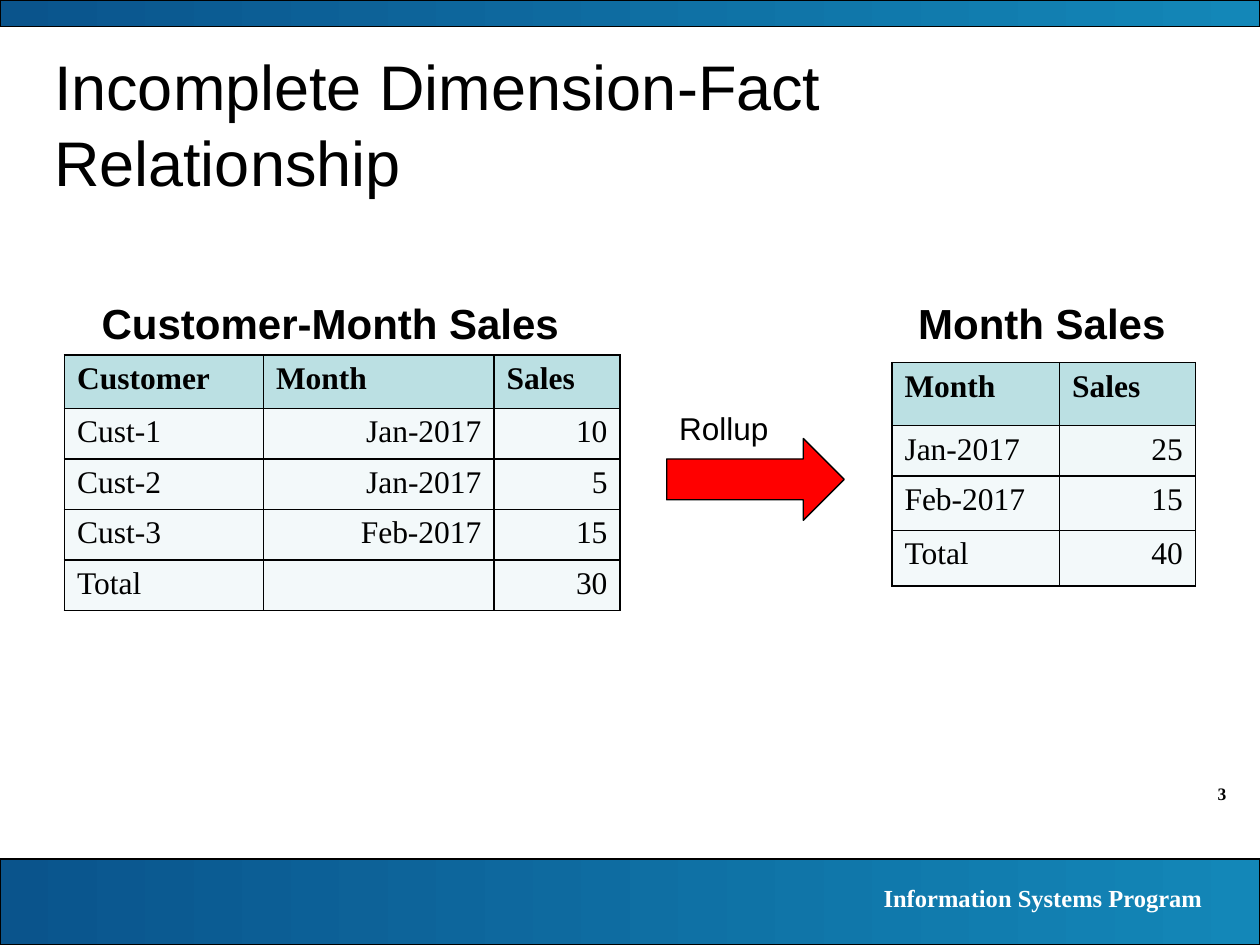
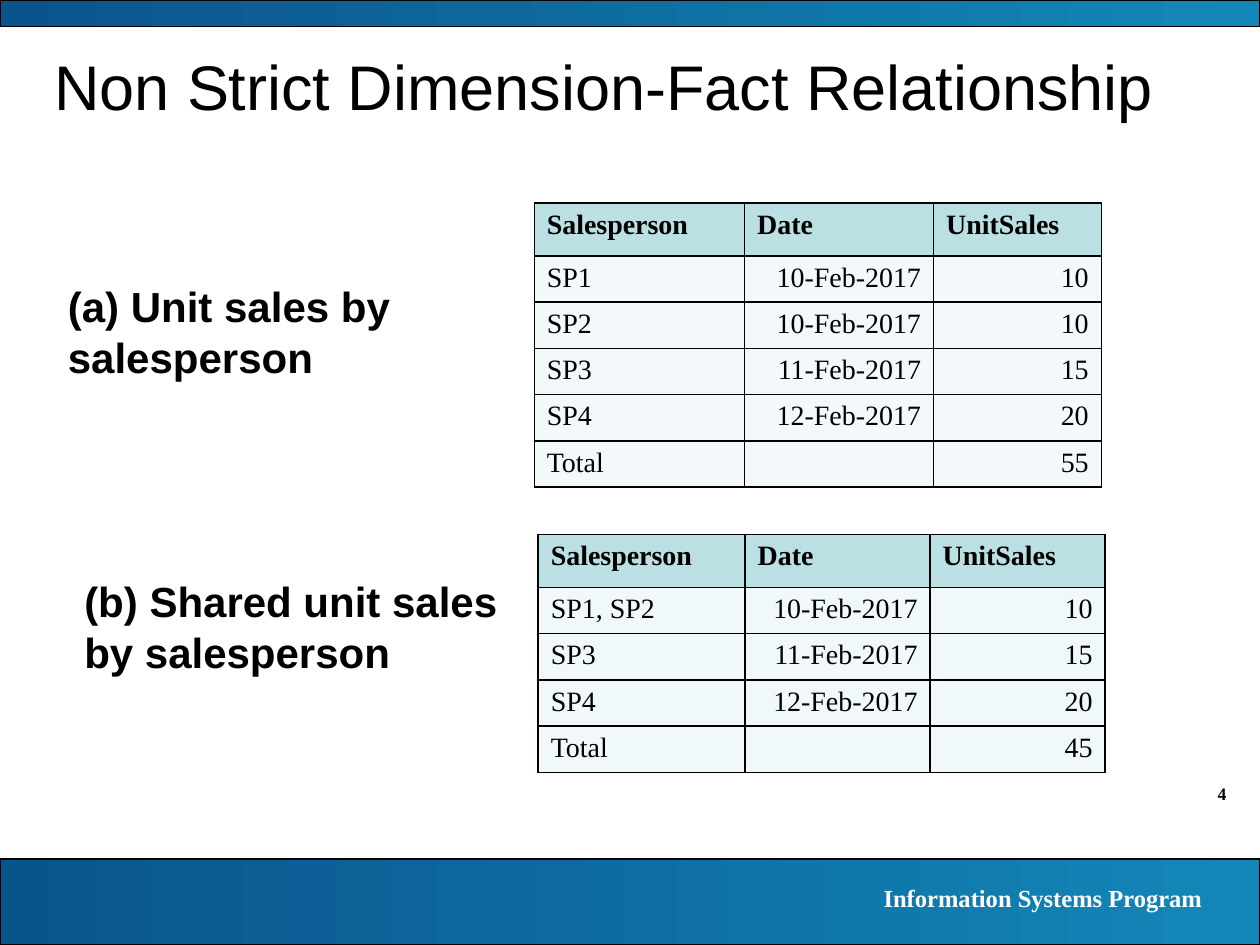
from dataclasses import dataclass

from lxml import etree
from pptx import Presentation
from pptx.dml.color import RGBColor
from pptx.enum import shapes, text
from pptx.oxml import ns
from pptx.slide import Slide
from pptx.text.text import TextFrame
from pptx.util import Cm, Pt

BLACK = RGBColor(0x00, 0x00, 0x00)
WHITE = RGBColor(0xFF, 0xFF, 0xFF)
RED = RGBColor(0xFF, 0x00, 0x00)
DEEP_BLUE = RGBColor(0x0A, 0x54, 0x8C)
BRIGHT_BLUE = RGBColor(0x13, 0x87, 0xB8)
HEADER_TEAL = RGBColor(0xBB, 0xE0, 0xE3)
PALE_TEAL = RGBColor(0xF3, 0xF9, 0xFA)
SOFT_TEAL = RGBColor(0xF1, 0xF8, 0xF9)

SANS = "Arial"
SERIF = "Times New Roman"
LEFT, RIGHT = text.PP_ALIGN.LEFT, text.PP_ALIGN.RIGHT
SLIDE_WIDTH, SLIDE_HEIGHT = 25.4, 19.05
FOOTER_TOP = 17.32


@dataclass(frozen=True)
class Box:
    """A place on the slide, in centimetres."""
    left: float
    top: float
    width: float
    height: float

    def lengths(self) -> tuple[Cm, Cm, Cm, Cm]:
        return Cm(self.left), Cm(self.top), Cm(self.width), Cm(self.height)


@dataclass(frozen=True)
class Label:
    wording: str
    box: Box
    size: int = 24
    bold: bool = True


@dataclass(frozen=True)
class SalesTable:
    """The first row is the header; columns after the first are right-aligned below it."""
    left: float
    top: float
    columns: tuple[float, ...]
    row_heights: tuple[float, ...]
    size: int
    rows: tuple[tuple[str, ...], ...]
    row_fills: tuple[RGBColor, ...]


@dataclass(frozen=True)
class SlideContent:
    number: int
    title: str
    tables: tuple[SalesTable, ...]
    labels: tuple[Label, ...]
    rollup_arrow: Box | None = None


BANDS = (
    Box(0, FOOTER_TOP, SLIDE_WIDTH, SLIDE_HEIGHT - FOOTER_TOP),
    Box(0, 0, SLIDE_WIDTH, 0.53),
)

INCOMPLETE = SlideContent(
    number=3,
    title="Incomplete Dimension-Fact Relationship",
    tables=(
        SalesTable(
            1.3, 7.16, (4.01, 4.65, 2.54), (1.07,) + (1.02,) * 4, 18,
            (
                ("Customer", "Month", "Sales"),
                ("Cust-1", "Jan-2017", "10"),
                ("Cust-2", "Jan-2017", "5"),
                ("Cust-3", "Feb-2017", "15"),
                ("Total", "", "30"),
            ),
            (HEADER_TEAL,) + (PALE_TEAL,) * 4,
        ),
        SalesTable(
            17.98, 7.31, (3.38, 2.74), (1.27, 1.02, 1.09, 1.12), 18,
            (
                ("Month", "Sales"),
                ("Jan-2017", "25"),
                ("Feb-2017", "15"),
                ("Total", "40"),
            ),
            (HEADER_TEAL, SOFT_TEAL, PALE_TEAL, PALE_TEAL),
        ),
    ),
    labels=(
        Label("Rollup", Box(13.44, 8.13, 2.97, 1.02), size=18, bold=False),
        Label("Customer-Month Sales", Box(1.8, 5.87, 10.19, 1.27)),
        Label("Month Sales", Box(18.26, 5.87, 5.59, 1.27)),
    ),
    rollup_arrow=Box(13.44, 8.84, 3.58, 1.65),
)

NON_STRICT = SlideContent(
    number=4,
    title="Non Strict Dimension-Fact Relationship",
    tables=(
        SalesTable(
            10.77, 4.09, (4.24, 3.81, 3.38), (1.07,) + (0.88,) * 5, 16,
            (
                ("Salesperson", "Date", "UnitSales"),
                ("SP1", "10-Feb-2017", "10"),
                ("SP2", "10-Feb-2017", "10"),
                ("SP3", "11-Feb-2017", "15"),
                ("SP4", "12-Feb-2017", "20"),
                ("Total", "", "55"),
            ),
            (HEADER_TEAL,) + (PALE_TEAL,) * 5,
        ),
        SalesTable(
            10.85, 10.77, (4.17, 3.73, 3.53), (1.07,) + (0.93,) * 4, 16,
            (
                ("Salesperson", "Date", "UnitSales"),
                ("SP1, SP2", "10-Feb-2017", "10"),
                ("SP3", "11-Feb-2017", "15"),
                ("SP4", "12-Feb-2017", "20"),
                ("Total", "", "45"),
            ),
            (HEADER_TEAL,) + (SOFT_TEAL,) * 4,
        ),
    ),
    labels=(
        Label("(a) Unit sales by salesperson", Box(1.12, 5.54, 7.42, 2.31)),
        Label("(b) Shared unit sales by salesperson", Box(1.45, 11.48, 9.32, 2.31)),
    ),
)


def write(frame: TextFrame, wording: str, *, size: int, font: str = SANS,
          color: RGBColor = BLACK, bold: bool = False,
          align: text.PP_ALIGN = LEFT) -> None:
    frame.word_wrap = True
    paragraph = frame.paragraphs[0]
    paragraph.alignment = align
    if not wording:
        # Keeps an empty cell from growing to the default text size.
        end = etree.SubElement(paragraph._p, ns.qn("a:endParaRPr"))
        end.set("sz", str(size * 100))
        return
    run = paragraph.add_run()
    run.text = wording
    run.font.size = Pt(size)
    run.font.name = font
    run.font.bold = bold
    run.font.color.rgb = color


def add_text(slide: Slide, box: Box, wording: str, **style) -> None:
    write(slide.shapes.add_textbox(*box.lengths()).text_frame, wording, **style)


def add_outlined(slide: Slide, preset: shapes.MSO_SHAPE, box: Box):
    shape = slide.shapes.add_shape(preset, *box.lengths())
    shape.shadow.inherit = False
    shape.line.color.rgb = BLACK
    shape.line.width = Pt(0.75)
    return shape


def add_band(slide: Slide, box: Box) -> None:
    fill = add_outlined(slide, shapes.MSO_SHAPE.RECTANGLE, box).fill
    fill.gradient()
    fill.gradient_angle = 0
    for stop, color in zip(fill.gradient_stops, (DEEP_BLUE, BRIGHT_BLUE)):
        stop.color.rgb = color


def add_borders(cell) -> None:
    properties = cell._tc.get_or_add_tcPr()
    for side in ("lnL", "lnR", "lnT", "lnB"):
        line = etree.SubElement(properties, ns.qn(f"a:{side}"), w=str(Pt(1)))
        solid = etree.SubElement(line, ns.qn("a:solidFill"))
        etree.SubElement(solid, ns.qn("a:srgbClr"), val=str(BLACK))


def add_sales_table(slide: Slide, sales: SalesTable) -> None:
    box = Box(sales.left, sales.top, sum(sales.columns), sum(sales.row_heights))
    table = slide.shapes.add_table(
        len(sales.rows), len(sales.columns), *box.lengths()).table
    table.first_row = table.horz_banding = False
    for column, width in zip(table.columns, sales.columns):
        column.width = Cm(width)
    for row, height in zip(table.rows, sales.row_heights):
        row.height = Cm(height)
    for r, (values, fill) in enumerate(zip(sales.rows, sales.row_fills)):
        for c, value in enumerate(values):
            cell = table.cell(r, c)
            add_borders(cell)
            cell.fill.solid()
            cell.fill.fore_color.rgb = fill
            write(cell.text_frame, value, size=sales.size, font=SERIF,
                  bold=r == 0, align=RIGHT if r and c else LEFT)


def add_frame(slide: Slide, number: int, title: str) -> None:
    """Draw the page number, bands, footer and title that every slide has."""
    add_text(slide, Box(22.86, 15.67, 2.11, 0.69), str(number),
             size=10, font=SERIF, bold=True, align=RIGHT)
    for band in BANDS:
        add_band(slide, band)
    add_text(slide, Box(14.1, 17.68, 10.39, 0.86), "Information Systems Program",
             size=14, font=SERIF, color=WHITE, bold=True, align=RIGHT)
    add_text(slide, Box(0.84, 0.84, 23.29, 1.9), title, size=36)


def build_slide(deck, content: SlideContent) -> None:
    slide = deck.slides.add_slide(deck.slide_layouts[6])
    add_frame(slide, content.number, content.title)
    for sales in content.tables:
        add_sales_table(slide, sales)
    if content.rollup_arrow:
        arrow = add_outlined(slide, shapes.MSO_SHAPE.RIGHT_ARROW, content.rollup_arrow)
        arrow.fill.solid()
        arrow.fill.fore_color.rgb = RED
    for label in content.labels:
        add_text(slide, label.box, label.wording, size=label.size, bold=label.bold)


def main() -> None:
    deck = Presentation()
    deck.slide_width, deck.slide_height = Cm(SLIDE_WIDTH), Cm(SLIDE_HEIGHT)
    for content in (INCOMPLETE, NON_STRICT):
        build_slide(deck, content)
    deck.save("out.pptx")


if __name__ == "__main__":
    main()
